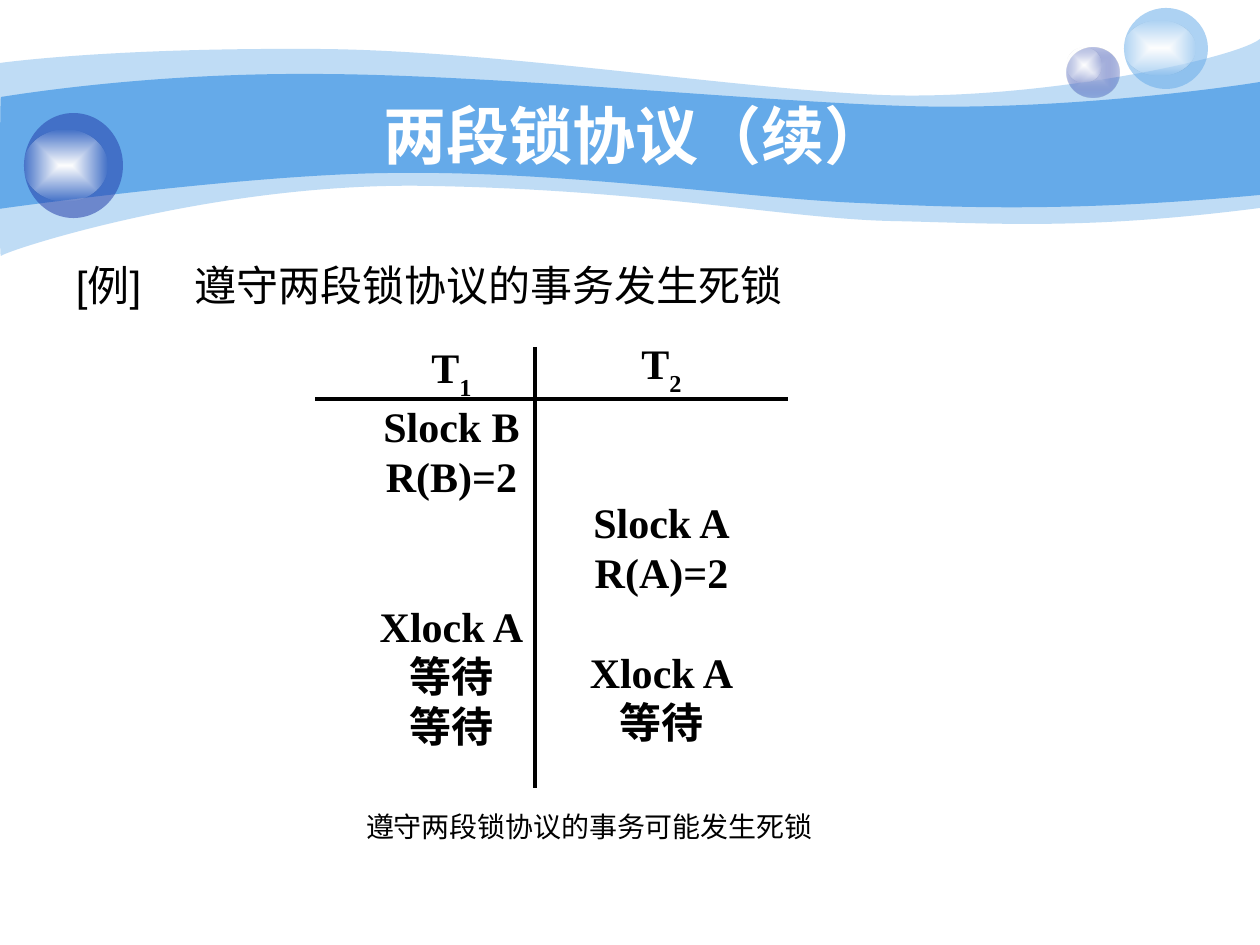
import lxml.etree
import pptx
import pptx.dml.color
import pptx.enum.shapes
import pptx.enum.text
import pptx.oxml
import pptx.oxml.ns
import pptx.util

RGBColor = pptx.dml.color.RGBColor
ALIGN = pptx.enum.text.PP_ALIGN
ANCHOR = pptx.enum.text.MSO_ANCHOR
qn = pptx.oxml.ns.qn

WHITE = RGBColor(0xFF, 0xFF, 0xFF)
BLACK = RGBColor(0x00, 0x00, 0x00)
SKY = RGBColor(0x65, 0xAA, 0xE9)
NAVY = RGBColor(0x23, 0x3D, 0xA9)
LAVENDER = RGBColor(0xC7, 0xCE, 0xE9)

EMU_PER_PX = 914400 / 126
ROW_HEIGHT = 50

# Each wave: start point, then cubic segments (three points) or lines (one point).
OUTER_WAVE = [
    (0, 63),
    [(30, 59), (135, 48), (311, 49)],
    [(486, 49), (725, 88), (881, 95)],
    [(1036, 101), (1235, 59), (1260, 39)],
    [(1260, 208)],
    [(1081, 231), (992, 223), (888, 221)],
    [(784, 218), (649, 190), (432, 186)],
    [(217, 181), (5, 251), (1, 256)],
    [(-1, 262), (0, 95), (0, 63)],
]
INNER_WAVE = [
    (1, 97),
    [(3, 97), (139, 73), (312, 74)],
    [(486, 74), (750, 101), (905, 106)],
    [(1060, 111), (1230, 87), (1260, 82)],
    [(1260, 195)],
    [(1075, 212), (964, 208), (859, 203)],
    [(755, 199), (563, 171), (399, 173)],
    [(256, 173), (-3, 209), (-1, 209)],
    [(0, 209), (0, 97), (1, 97)],
]

# Each transaction: number, left, top, top margin, and (row, operation) pairs.
TRANSACTIONS = [
    ("1", 367, 325, 26, [(1, "Slock B"), (2, "R(B)=2"), (5, "Xlock A"),
                         (6, "等待"), (7, "等待")]),
    ("2", 577, 347, 0, [(3, "Slock A"), (4, "R(A)=2"), (6, "Xlock A"), (7, "等待")]),
]


def px(length):
    return pptx.util.Emu(round(length * EMU_PER_PX))


class SlideBuilder:
    def __init__(self, presentation):
        self.slide = presentation.slides.add_slide(presentation.slide_layouts[5])
        self.shapes = self.slide.shapes

    def finish(self, shape, color, alpha=100):
        shape.shadow.inherit = False
        shape.line.fill.background()
        shape.fill.solid()
        shape.fill.fore_color.rgb = color
        if alpha < 100:
            color_element = shape._element.spPr.find(".//" + qn("a:srgbClr"))
            lxml.etree.SubElement(color_element, qn("a:alpha"), val=str(alpha * 1000))

    def wave(self, outline, color, alpha=100):
        """Build the control polygon, then turn its triples into cubic curves."""
        start, *segments = outline
        builder = self.shapes.build_freeform(*start, scale=EMU_PER_PX)
        for segment in segments:
            builder.add_line_segments(segment, close=segment is segments[-1])
        shape = builder.convert_to_shape()
        edges = iter(shape._element.findall(".//" + qn("a:lnTo")))
        for segment in segments:
            first, *others = [next(edges) for _ in segment]
            if others:
                first.tag = qn("a:cubicBezTo")
            for edge in others:
                first.append(edge[0])
                edge.getparent().remove(edge)
        self.finish(shape, color, alpha)

    def ellipse(self, left, top, width, height, color, alpha=100):
        shape = self.shapes.add_shape(
            pptx.enum.shapes.MSO_SHAPE.OVAL, px(left), px(top), px(width), px(height))
        self.finish(shape, color, alpha)
        return shape

    def glow(self, left, top, width, height, center, edge, edge_alpha):
        """Draw an ellipse that fades from its centre to a transparent edge."""
        shape = self.ellipse(left, top, width, height, center)
        properties = shape._element.spPr
        gradient = pptx.oxml.parse_xml(
            f'<a:gradFill {pptx.oxml.ns.nsdecls("a")} rotWithShape="1"><a:gsLst>'
            f'<a:gs pos="0"><a:srgbClr val="{center}"/></a:gs>'
            f'<a:gs pos="100000"><a:srgbClr val="{edge}">'
            f'<a:alpha val="{edge_alpha * 1000}"/></a:srgbClr></a:gs></a:gsLst>'
            '<a:path path="rect"><a:fillToRect l="50000" t="50000" r="50000" b="50000"/>'
            '</a:path></a:gradFill>')
        properties.replace(properties.find(qn("a:solidFill")), gradient)

    def line(self, left, top, right, bottom):
        connector = self.shapes.add_connector(
            pptx.enum.shapes.MSO_CONNECTOR.STRAIGHT,
            px(left), px(top), px(right), px(bottom))
        connector.line.color.rgb = BLACK
        connector.line.width = pptx.util.Pt(2.25)
        lxml.etree.SubElement(connector._element.spPr, qn("a:effectLst"))

    def run(self, paragraph, text, size, font="Times New Roman", color=BLACK, bold=False):
        run = paragraph.add_run()
        run.text = text
        run.font.name = font
        run.font.size = pptx.util.Pt(size)
        run.font.bold = bold
        run.font.color.rgb = color
        return run

    def title(self, text, left, top, width, height):
        shape = self.shapes.title
        self.shapes._spTree.append(shape._element)
        shape.left, shape.top = px(left), px(top)
        shape.width, shape.height = px(width), px(height)
        frame = shape.text_frame
        frame.vertical_anchor = ANCHOR.MIDDLE
        paragraph = frame.paragraphs[0]
        paragraph.alignment = ALIGN.CENTER
        self.run(paragraph, text, 36, "Arial", WHITE, True)

    def text_frame(self, left, top, width, height, margin_left, margin_top):
        frame = self.shapes.add_textbox(px(left), px(top), px(width), px(height)).text_frame
        frame.word_wrap = True
        frame.margin_left, frame.margin_top = px(margin_left), px(margin_top)
        frame.margin_right = frame.margin_bottom = 0
        return frame

    def text(self, text, left, top, width, height, margin_left, margin_top,
             size, font, align, hanging=0):
        frame = self.text_frame(left, top, width, height, margin_left, margin_top)
        paragraph = frame.paragraphs[0]
        paragraph.alignment = align
        if hanging:
            properties = paragraph._p.get_or_add_pPr()
            properties.set("marL", str(px(hanging)))
            properties.set("indent", str(-px(hanging)))
        self.run(paragraph, text, size, font)

    def transaction(self, number, left, top, margin_top, operations):
        """Write one schedule column; skipped rows become space before."""
        frame = self.text_frame(left, top, 169, 494, 0, margin_top)
        header = frame.paragraphs[0]
        self.run(header, "T", 24, bold=True)
        subscript = self.run(header, number, 24, bold=True)
        subscript.font._element.set("baseline", "-30000")
        previous_row = 0
        for row, operation in operations:
            paragraph = frame.add_paragraph()
            gap = (row - previous_row - 1) * ROW_HEIGHT
            paragraph.space_before = pptx.util.Pt(round(px(gap).pt, 1))
            self.run(paragraph, operation, 24, bold=True)
            previous_row = row
        for paragraph in frame.paragraphs:
            paragraph.alignment = ALIGN.CENTER
            paragraph.line_spacing = pptx.util.Pt(round(px(ROW_HEIGHT).pt, 1))


def main():
    presentation = pptx.Presentation()
    presentation.slide_width = pptx.util.Inches(10)
    presentation.slide_height = pptx.util.Inches(7.5)
    builder = SlideBuilder(presentation)

    builder.wave(OUTER_WAVE, SKY, 41)
    builder.wave(INNER_WAVE, SKY)
    builder.glow(1067, 48, 53, 50, LAVENDER, NAVY, 31)
    builder.glow(1067, 48, 35, 34, WHITE, WHITE, 0)
    builder.ellipse(1124, 8, 84, 81, SKY, 53)
    builder.glow(1124, 21, 71, 54, WHITE, WHITE, 0)
    builder.ellipse(24, 113, 99, 105, NAVY, 53)
    builder.glow(24, 130, 83, 71, WHITE, WHITE, 0)

    builder.title("两段锁协议（续）", 126, 95, 1018, 78)
    builder.text("[例]\t遵守两段锁协议的事务发生死锁", 63, 252, 1134, 620, 13, 8,
                 24, "Arial", ALIGN.LEFT, hanging=119)
    for transaction in TRANSACTIONS:
        builder.transaction(*transaction)
    builder.line(315, 399, 788, 399)
    builder.line(535, 347, 535, 788)
    builder.text("遵守两段锁协议的事务可能发生死锁", 306, 800, 567, 50, 0, 10,
                 16, "Times New Roman", ALIGN.CENTER)
    presentation.save("out.pptx")


if __name__ == "__main__":
    main()
